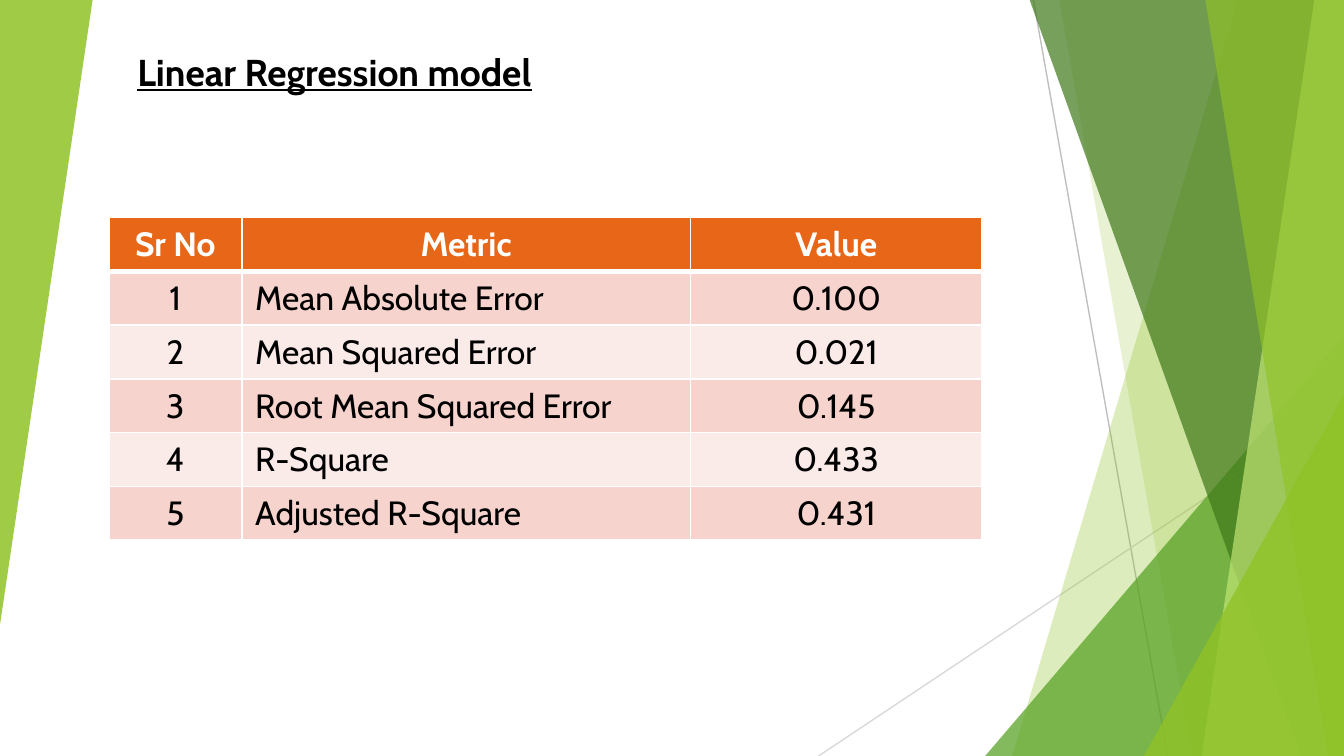
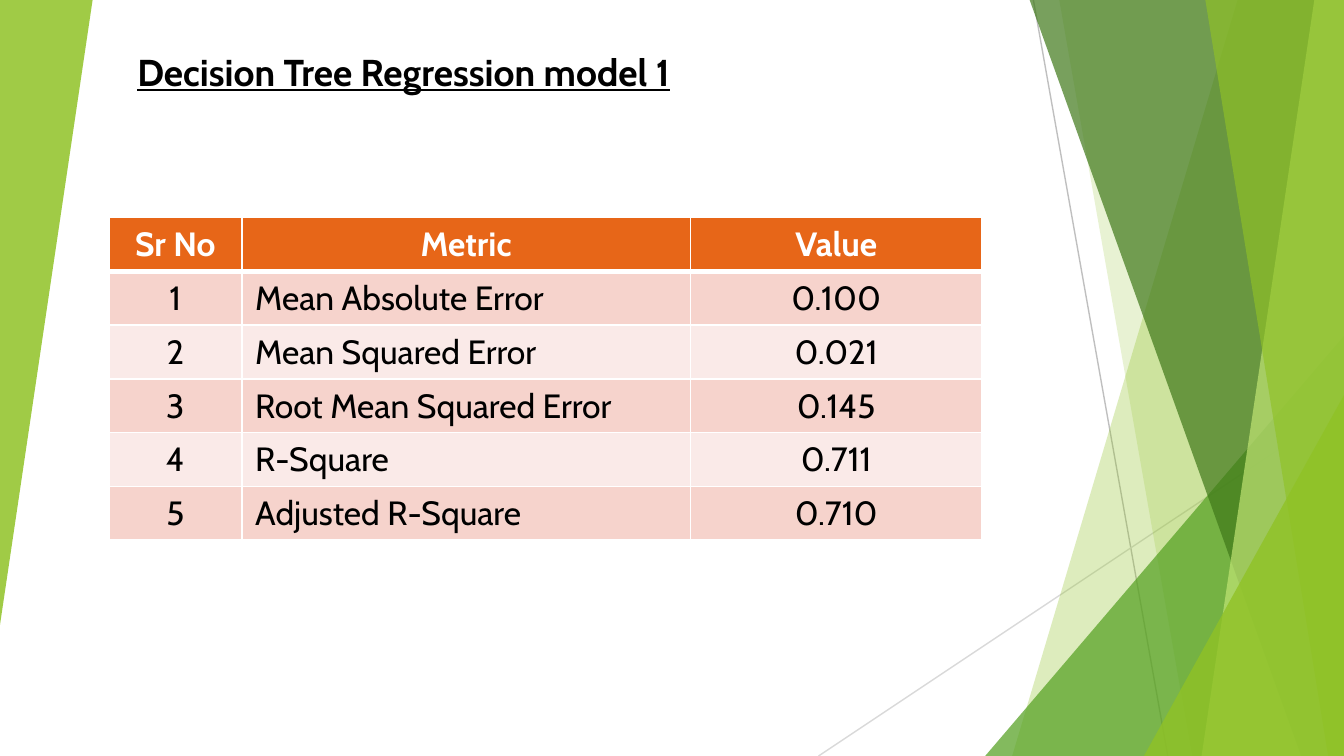
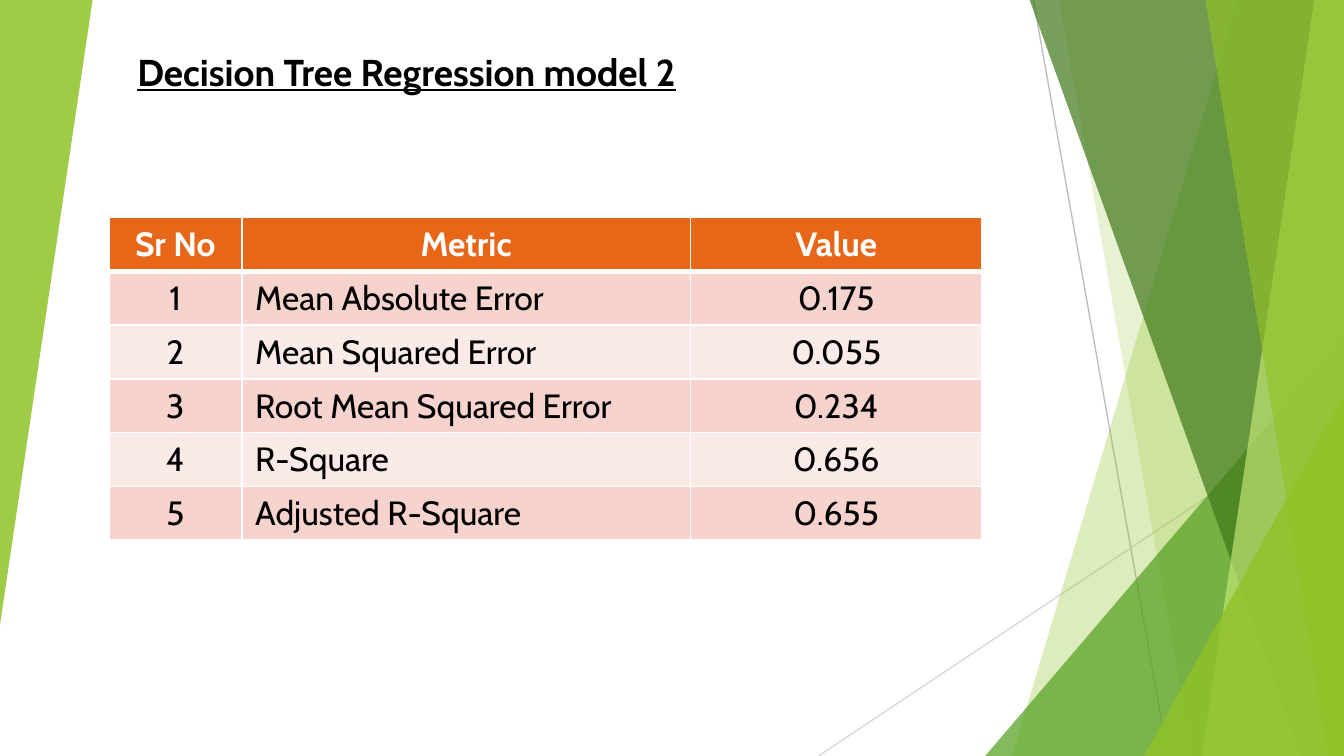
from lxml import etree
from pptx import Presentation
from pptx.dml.color import RGBColor
from pptx.enum.shapes import MSO_CONNECTOR, MSO_SHAPE
from pptx.enum.text import MSO_ANCHOR, MSO_AUTO_SIZE, PP_ALIGN
from pptx.oxml.ns import qn
from pptx.util import Cm, Pt

LINE = MSO_CONNECTOR.STRAIGHT
TRIANGLE = MSO_SHAPE.ISOSCELES_TRIANGLE
MIDDLE = MSO_ANCHOR.MIDDLE
GROW = MSO_AUTO_SIZE.SHAPE_TO_FIT_TEXT
LEFT, CENTER = PP_ALIGN.LEFT, PP_ALIGN.CENTER

WHITE = RGBColor(0xFF, 0xFF, 0xFF)
BLACK = RGBColor(0, 0, 0)
GRAY = RGBColor(0xBF, 0xBF, 0xBF)
SILVER = RGBColor(0xD9, 0xD9, 0xD9)
LIME = RGBColor(0x90, 0xC2, 0x26)
GREEN = RGBColor(0x54, 0xA0, 0x21)
FOREST = RGBColor(0x3F, 0x78, 0x19)
PALE = RGBColor(0xC0, 0xE4, 0x74)
ORANGE = RGBColor(0xE7, 0x66, 0x18)
ROSE = RGBColor(0xF6, 0xD3, 0xCC)
BLUSH = RGBColor(0xFA, 0xEA, 0xE8)

FONT = "Cabin"
WIDE, HIGH = 25.4, 14.29
TITLE_ONLY = 5

HEADS = ("Sr No", "Metric", "Value")
METRICS = ("Mean Absolute Error", "Mean Squared Error",
           "Root Mean Squared Error", "R-Square", "Adjusted R-Square")
MODELS = (
    ("Linear Regression model", 11,
     ("0.100", "0.021", "0.145", "0.433", "0.431")),
    ("Decision Tree Regression model 1", 11.86,
     ("0.100", "0.021", "0.145", "0.711", "0.710")),
    ("Decision Tree Regression model 2", 11.86,
     ("0.175", "0.055", "0.234", "0.656", "0.655")),
)


def tint(shape, color, alpha):
    """Fill a shape with a colour at alpha percent, without line or shadow."""
    shape.shadow.inherit = False
    shape.line.fill.background()
    shape.fill.solid()
    shape.fill.fore_color.rgb = color
    tag = shape.fill._xPr.find(".//" + qn("a:srgbClr"))
    etree.SubElement(tag, qn("a:alpha"), val=str(alpha * 1000))


def add_ray(group, x1, y1, x2, y2, color):
    ray = group.shapes.add_connector(LINE, Cm(x1), Cm(y1), Cm(x2), Cm(y2))
    ray.line.color.rgb = color
    ray.line.width = Pt(0.75)
    etree.SubElement(ray.element.spPr, qn("a:effectLst"))


def add_band(group, top, foot, color, alpha):
    """Fill from a slanted edge, given by its x at top and foot, to the right."""
    pen = group.shapes.build_freeform(Cm(top), 0)
    pen.add_line_segments([(Cm(WIDE), 0), (Cm(WIDE), Cm(HIGH)),
                           (Cm(foot), Cm(HIGH))])
    tint(pen.convert_to_shape(), color, alpha)


def add_wedge(group, x, y, wide, high, color, alpha, turn=0):
    wedge = group.shapes.add_shape(TRIANGLE, Cm(x), Cm(y), Cm(wide), Cm(high))
    wedge.adjustments[0] = 1
    wedge.rotation = turn
    tint(wedge, color, alpha)


def add_decor(slide):
    """Draw the green facets and hand them to the layout of the slide."""
    group = slide.shapes.add_group_shape()
    add_ray(group, 19.53, 0, 22.07, HIGH, GRAY)
    add_ray(group, WIDE, 7.67, 15.47, HIGH, SILVER)
    add_band(group, 23.39, 19.13, LIME, 30)
    add_band(group, 20.02, 22.53, LIME, 20)
    add_wedge(group, 18.62, 6.35, WIDE - 18.62, HIGH - 6.35, GREEN, 72)
    add_band(group, 19.46, 24.59, FOREST, 70)
    add_band(group, 24.84, 22.71, PALE, 70)
    add_band(group, 22.78, 25.1, LIME, 65)
    add_wedge(group, 21.62, 7.47, WIDE - 21.62, HIGH - 7.47, LIME, 80)
    add_wedge(group, 0, 0, 1.75, 11.81, LIME, 85, 180)
    tree = slide.slide_layout.shapes.element
    tree.append(group.element)
    for num, tag in enumerate(tree.xpath(".//p:cNvPr"), 1):
        tag.set("id", str(num))


def set_font(para, size, color, bold):
    font = para.font
    font.name, font.size, font.bold = FONT, Pt(size), bold
    font.color.rgb = color


def add_title(slide, text, x, y, wide, high):
    title = slide.shapes.title
    title.left, title.top = Cm(x), Cm(y)
    title.width, title.height = Cm(wide), Cm(high)
    frame = title.text_frame
    frame.text = text
    frame.word_wrap = True
    frame.auto_size = GROW
    frame.vertical_anchor = MIDDLE
    para = frame.paragraphs[0]
    para.alignment = LEFT
    set_font(para, 20, BLACK, True)
    para.font.underline = True


def set_edges(cell, row):
    """Draw white cell borders, thick between the head and the body."""
    props = cell._tc.get_or_add_tcPr()
    thick = {0: "lnB", 1: "lnT"}.get(row)
    for side in ("lnL", "lnR", "lnT", "lnB"):
        width = Pt(3 if side == thick else 1)
        edge = etree.SubElement(props, qn("a:" + side), w=str(width))
        fill = etree.SubElement(edge, qn("a:solidFill"))
        etree.SubElement(fill, qn("a:srgbClr"), val=str(WHITE))


def add_scores(slide, values, x, y, widths, high):
    """Place the table of metrics, with rows of the given height."""
    rows = [HEADS]
    rows += [(str(num), *pair) for num, pair in enumerate(zip(METRICS, values), 1)]
    table = slide.shapes.add_table(
        len(rows), len(HEADS), Cm(x), Cm(y),
        Cm(sum(widths)), Cm(high * len(rows))).table
    for col, wide in zip(table.columns, widths):
        col.width = Cm(wide)
    for r, texts in enumerate(rows):
        head = r == 0
        back = ORANGE if head else (BLUSH, ROSE)[r % 2]
        for c, text in enumerate(texts):
            cell = table.cell(r, c)
            set_edges(cell, r)
            cell.fill.solid()
            cell.fill.fore_color.rgb = back
            cell.text = text
            para = cell.text_frame.paragraphs[0]
            para.alignment = LEFT if c == 1 and not head else CENTER
            set_font(para, 18, WHITE if head else BLACK, head)


def main():
    deck = Presentation()
    deck.slide_width, deck.slide_height = Cm(WIDE), Cm(HIGH)
    layout = deck.slide_layouts[TITLE_ONLY]
    for num, (name, wide, values) in enumerate(MODELS):
        slide = deck.slides.add_slide(layout)
        if num == 0:
            add_decor(slide)
        add_title(slide, name, 2.34, 0.79, wide, 1.12)
        add_scores(slide, values, 2.06, 4.11, (2.51, 8.48, 5.51), 0.89)
    deck.save("out.pptx")


if __name__ == "__main__":
    main()
